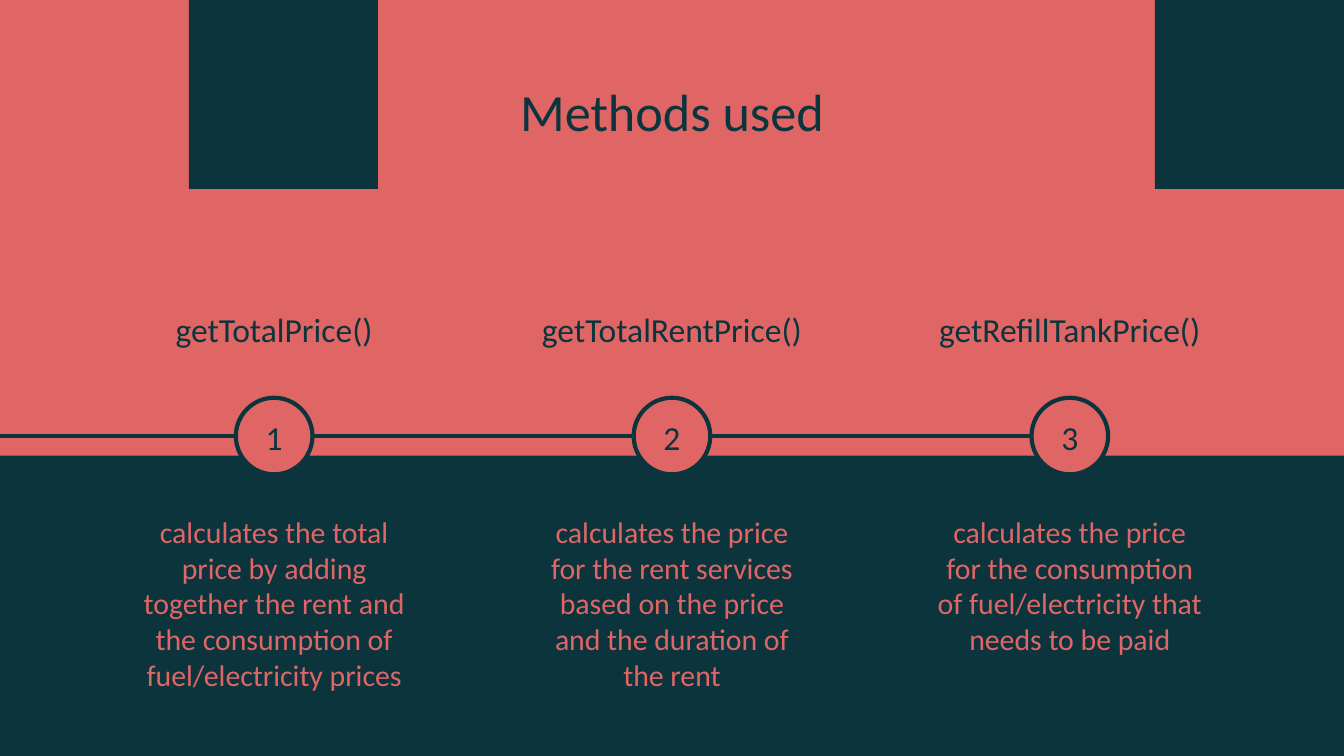
from lxml import etree
from pptx import Presentation
from pptx import util as u
from pptx.dml.color import RGBColor
from pptx.enum import shapes, text
from pptx.oxml.ns import qn

DARK, CORAL = "0C343D", "E06666"
WIDE = 10
HIGH = WIDE * 9 / 16


def tint(fill, hue):
    """Make a fill solid in the given hex colour."""
    fill.solid()
    fill.fore_color.rgb = RGBColor.from_string(hue)


def write(shape, words, size, hue, top=0.1):
    frame = shape.text_frame
    frame.text = words
    frame.word_wrap = True
    frame.margin_left = frame.margin_right = frame.margin_bottom = u.Inches(0.1)
    frame.margin_top = u.Inches(top)
    para = frame.paragraphs[0]
    para.alignment = text.PP_ALIGN.CENTER
    font = para.runs[0].font
    font.size, font.name = u.Pt(size), "Calibri"
    tint(font.fill, hue)


deck = Presentation()
deck.slide_width, deck.slide_height = u.Inches(WIDE), u.Inches(HIGH)
slide = deck.slides.add_slide(deck.slide_layouts[6])
tint(slide.background.fill, CORAL)
items = slide.shapes

# Dark band along the foot and two dark squares at the top
side, floor = HIGH / 4, 3.39
for x, y, w, h in [
    (0, floor, WIDE, HIGH - floor),
    (WIDE - side, 0, side, side),
    (side, 0, side, side),
]:
    block = items.add_shape(shapes.MSO_SHAPE.RECTANGLE, *map(u.Inches, (x, y, w, h)))
    block.shadow.inherit = False
    tint(block.fill, DARK)
    block.line.fill.background()

title = items.add_textbox(*map(u.Inches, (0.34, 0.49, WIDE - 0.68, 0.63)))
write(title, "Methods used", 28, DARK)

# Three columns, evenly spaced about the middle of the slide
steps = [
    ("getTotalPrice()", "calculates the total price by adding together "
     "the rent and the consumption of fuel/electricity prices"),
    ("getTotalRentPrice()", "calculates the price for the rent services "
     "based on the price and the duration of the rent"),
    ("getRefillTankPrice()", "calculates the price for the consumption "
     "of fuel/electricity that needs to be paid"),
]
pitch, col, ring, crown = 2.96, 2.19, 0.57, 2.96
axis = crown + ring / 2
start = 0
for i, (name, note) in enumerate(steps):
    mid = WIDE / 2 + (i - 1) * pitch
    left = mid - col / 2

    head = items.add_textbox(*map(u.Inches, (left, 2.2, col, 0.57)))
    write(head, name, 18, DARK)
    body = items.add_textbox(*map(u.Inches, (left, 3.72, col, 0.85)))
    write(body, note, 16, CORAL)
    body.text_frame.paragraphs[0].space_after = u.Pt(16)

    edge = mid - ring / 2
    dot = items.add_shape(
        shapes.MSO_SHAPE.OVAL, *map(u.Inches, (edge, crown, ring, ring)))
    dot.shadow.inherit = False
    tint(dot.fill, CORAL)
    tint(dot.line.fill, DARK)
    dot.line.width = u.Pt(2.25)
    write(dot, str(i + 1), 18, DARK, top=0.12)
    dot.text_frame.vertical_anchor = text.MSO_ANCHOR.MIDDLE

    link = items.add_connector(
        shapes.MSO_CONNECTOR.STRAIGHT, *map(u.Inches, (start, axis, edge, axis)))
    tint(link.line.fill, DARK)
    link.line.width = u.Pt(2.25)
    etree.SubElement(link._element.spPr, qn("a:effectLst"))
    start = edge + ring

deck.save("out.pptx")
